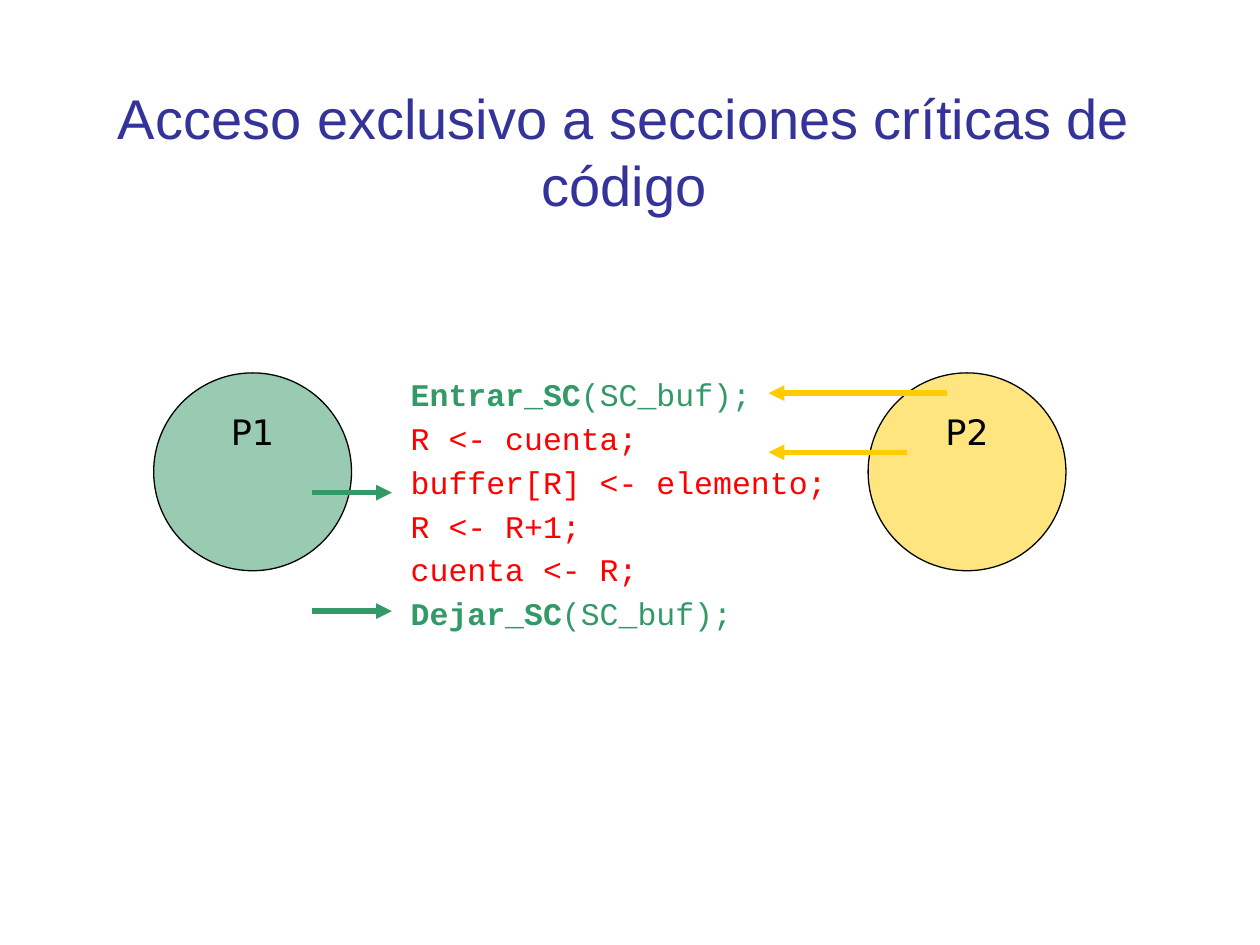
from lxml import etree
from pptx import Presentation
from pptx import util as u
from pptx.dml.color import RGBColor
from pptx.enum import shapes, text
from pptx.oxml import ns

BLUE = RGBColor(0x33, 0x33, 0x99)
GREEN = RGBColor(0x33, 0x99, 0x66)
GOLD = RGBColor(0xFF, 0xCC, 0x00)
RED = RGBColor(0xFF, 0x00, 0x00)
BLACK = RGBColor(0x00, 0x00, 0x00)


def add(node, tag, **attrs):
    return etree.SubElement(node, ns.qn(tag), **attrs)


class Deck:
    """Holds the style and the current slide."""
    head, code, label = "Arial", "Courier New", "DejaVu Sans"

    def __init__(self):
        self.prs = Presentation()
        self.prs.slide_width, self.prs.slide_height = u.Inches(10), u.Inches(7.5)
        self.slide = self.prs.slides.add_slide(self.prs.slide_layouts[1])

    def place(self, shape, x, y, w, h):
        shape.left, shape.top = u.Inches(x), u.Inches(y)
        shape.width, shape.height = u.Inches(w), u.Inches(h)

    def style(self, font, name, size, color):
        font.name, font.size = name, u.Pt(size)
        font.color.rgb = color

    def title(self, words, *box):
        shape = self.slide.shapes.title
        self.place(shape, *box)
        frame = shape.text_frame
        frame.text = words
        frame.auto_size = text.MSO_AUTO_SIZE.NONE
        frame.vertical_anchor = text.MSO_ANCHOR.BOTTOM
        para = frame.paragraphs[0]
        para.alignment = text.PP_ALIGN.CENTER
        self.style(para.font, self.head, 32, BLUE)

    def listing(self, lines, *box):
        """Each line is (bold part, plain part, colour)."""
        shape = self.slide.placeholders[1]
        self.place(shape, *box)
        frame = shape.text_frame
        frame.auto_size = text.MSO_AUTO_SIZE.NONE
        for i, (bold, plain, color) in enumerate(lines):
            para = frame.add_paragraph() if i else frame.paragraphs[0]
            para.level = 2
            para.line_spacing = 0.9
            para.space_before = u.Pt(5.6 if i else 0)
            props = para._p.get_or_add_pPr()
            props.set("marL", str(u.Inches(1.25)))
            props.set("indent", str(u.Inches(-0.25)))
            add(props, "a:buNone")
            self.style(para.font, self.code, 18, color)
            if bold:
                run = para.add_run()
                run.text = bold
                run.font.bold = True
            para.add_run().text = plain

    def circle(self, name, x, y, size, color):
        shape = self.slide.shapes.add_shape(
            shapes.MSO_SHAPE.OVAL, *map(u.Inches, (x, y, size, size)))
        shape.shadow.inherit = False
        shape.fill.solid()
        shape.fill.fore_color.rgb = color
        tint = shape._element.spPr.find(".//" + ns.qn("a:srgbClr"))
        add(tint, "a:alpha", val="50000")
        shape.line.color.rgb = BLACK
        shape.line.width = u.Pt(0.75)
        frame = shape.text_frame
        frame.text = name
        frame.word_wrap = False
        frame.vertical_anchor = text.MSO_ANCHOR.TOP
        frame.margin_top = u.Inches(0.07)
        para = frame.paragraphs[0]
        para.alignment = text.PP_ALIGN.CENTER
        self.style(para.font, self.label, 20, BLACK)

    def arrow(self, start, end, y, color):
        line = self.slide.shapes.add_connector(
            shapes.MSO_CONNECTOR.STRAIGHT, *map(u.Inches, (start, y, end, y)))
        line.line.color.rgb = color
        line.line.width = u.Pt(3)
        add(line.line._get_or_add_ln(), "a:tailEnd", type="triangle")
        add(line._element.spPr, "a:effectLst")


def main():
    deck = Deck()
    deck.title("Acceso exclusivo a secciones críticas de código",
               0.27, 0.21, 9.37, 1.57)

    # Critical section between its entry and exit calls
    deck.listing([
        ("Entrar_SC", "(SC_buf);", GREEN),
        ("", "R <- cuenta;", RED),
        ("", "buffer[R] <- elemento;", RED),
        ("", "R <- R+1;", RED),
        ("", "cuenta <- R;", RED),
        ("Dejar_SC", "(SC_buf);", GREEN),
    ], 2.16, 2.96, 5.35, 2.05)

    # First process and its steps
    deck.circle("P1", 1.22, 2.96, 1.57, GREEN)
    for y in (3.91, 4.85):
        deck.arrow(2.48, 3.11, y, GREEN)

    # Second process and its steps
    deck.circle("P2", 6.89, 2.96, 1.57, GOLD)
    for start, y in ((7.52, 3.12), (7.2, 3.59)):
        deck.arrow(start, 6.1, y, GOLD)

    deck.prs.save("out.pptx")


if __name__ == "__main__":
    main()
